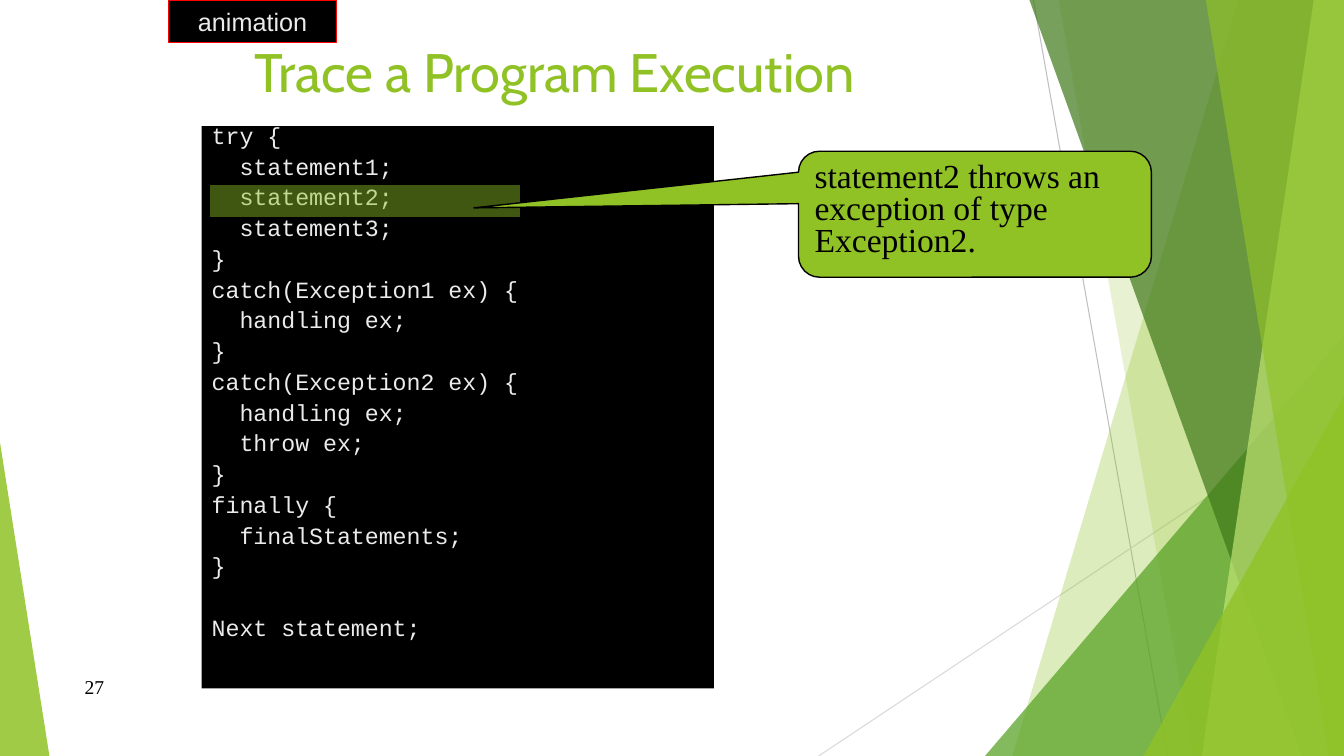
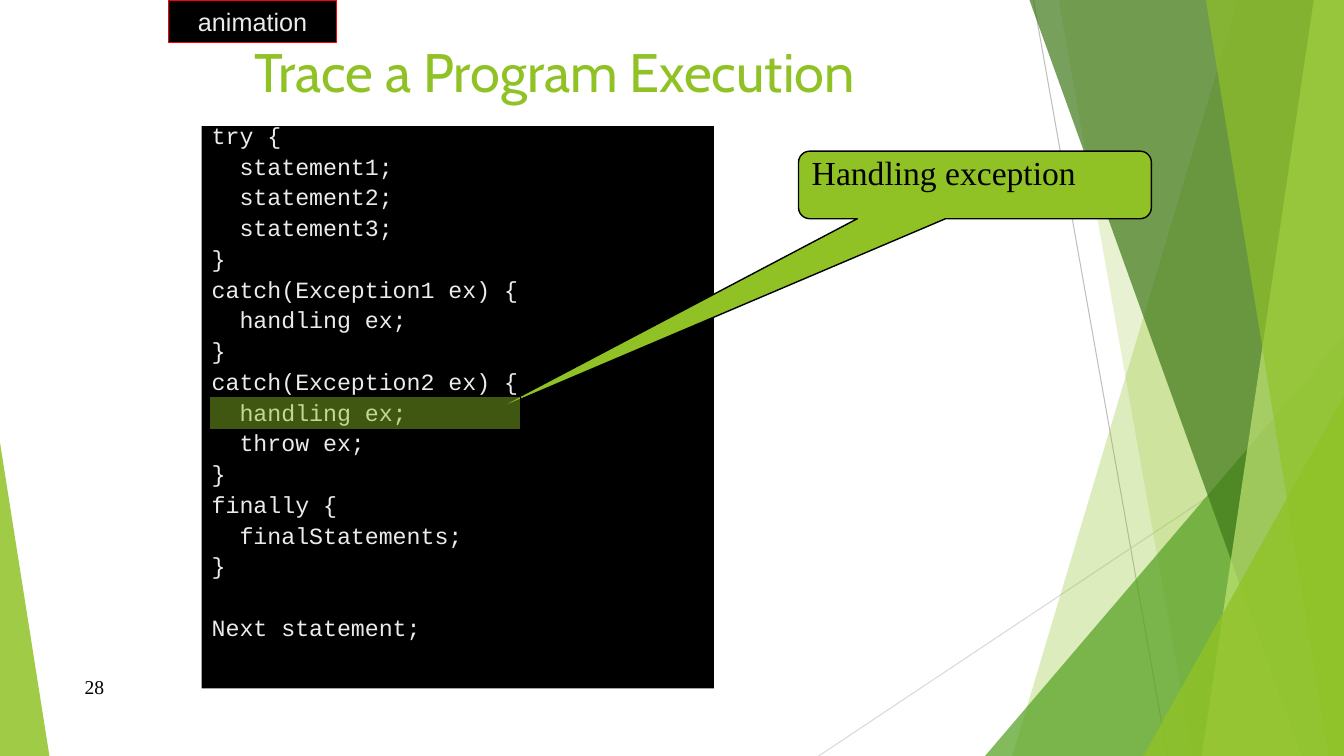
from lxml.etree import SubElement
from pptx import Presentation
from pptx.dml.color import RGBColor
from pptx.enum.shapes import MSO_CONNECTOR, MSO_SHAPE
from pptx.enum.text import MSO_ANCHOR, MSO_AUTO_SIZE, PP_ALIGN
from pptx.oxml.ns import qn
from pptx.util import Inches, Pt

WIDTH, HEIGHT = 13.33, 7.5
BLACK = RGBColor(0x00, 0x00, 0x00)
RED = RGBColor(0xFF, 0x00, 0x00)
PALE = RGBColor(0xEB, 0xEB, 0xEB)
GREEN = RGBColor(0x90, 0xC2, 0x26)
MID_GREEN = RGBColor(0x54, 0xA0, 0x21)
DARK_GREEN = RGBColor(0x3F, 0x78, 0x19)
LIGHT_GREEN = RGBColor(0xC0, 0xE4, 0x74)
GRAY = RGBColor(0xBF, 0xBF, 0xBF)
LIGHT_GRAY = RGBColor(0xD9, 0xD9, 0xD9)

TITLE = "Trace a Program Execution"
TAG = "animation"
CODE = """try {
  statement1;
  statement2;
  statement3;
}
catch(Exception1 ex) {
  handling ex;
}
catch(Exception2 ex) {
  handling ex;
  throw ex;
}
finally {
  finalStatements;
}

Next statement;""".split("\n")

# Callout pointers are offsets from its centre, as shares of its size.
STEPS = [
    {"number": "27", "row": 2, "text": "statement2 throws an exception of type Exception2.",
     "height": 1.25, "pointer": (-1.42, -0.05), "callout_in_front": True},
    {"number": "28", "row": 9, "text": "Handling exception",
     "height": 0.67, "pointer": (-1.38, 3.38), "callout_in_front": False},
]

# Lines: start, end, colour
BACKDROP_LINES = [
    ((10.25, 0), (11.58, HEIGHT), GRAY),
    ((WIDTH, 4.03), (8.12, HEIGHT), LIGHT_GRAY),
]
# Bands run to the right edge: ("band", top x, bottom x, colour, opacity)
# Triangles stand on the bottom edge: ("triangle", left, width, height, apex, colour, opacity)
BACKDROP_SHAPES = [
    ("band", 12.28, 10.04, GREEN, 30),
    ("band", 10.5, 11.83, GREEN, 20),
    ("triangle", 9.77, 3.56, 4.17, 1, MID_GREEN, 72),
    ("band", 10.21, 12.91, DARK_GREEN, 70),
    ("band", 13.03, 11.92, LIGHT_GREEN, 70),
    ("band", 11.96, 13.18, GREEN, 65),
    ("triangle", 11.34, 1.99, 3.57, 1, GREEN, 80),
    ("triangle", 0, 0.49, 3.11, 0, GREEN, 85),
]

TITLE_BOX = (2.42, 0.33, 8.5, 0.58)
TAG_BOX = (1.67, 0, 1.67, 0.42)
CODE_BOX = (2, 1.25, 5.08, 5.58)
NUMBER_BOX = (0.74, 6.61, 6.89, 0.4)
HIGHLIGHT_TOP, ROW_PITCH = 1.23, 0.3


def place(shape, box):
    shape.left, shape.top, shape.width, shape.height = map(Inches, box)


def paint(shape, fill, line=None, opacity=100):
    shape.shadow.inherit = False
    shape.fill.solid()
    shape.fill.fore_color.rgb = fill
    if opacity < 100:
        color = shape.element.spPr.find(qn("a:solidFill")).find(qn("a:srgbClr"))
        SubElement(color, qn("a:alpha")).set("val", str(opacity * 1000))
    if line is None:
        shape.line.fill.background()
    else:
        shape.line.color.rgb = line
        shape.line.width = Pt(1)


def write(shape, lines, *, font, size, color, align=PP_ALIGN.LEFT, anchor=MSO_ANCHOR.TOP,
          wrap=True, spacing=None, before=0, bullets=True):
    frame = shape.text_frame
    frame.auto_size = MSO_AUTO_SIZE.NONE
    frame.word_wrap = wrap
    frame.vertical_anchor = anchor
    for index, line in enumerate(lines):
        paragraph = frame.add_paragraph() if index else frame.paragraphs[0]
        paragraph.text = line
        paragraph.alignment = align
        paragraph.line_spacing = spacing
        paragraph.space_before = Pt(before if index else 0)
        if not bullets:
            properties = paragraph._p.get_or_add_pPr()
            properties.set("marL", "0")
            properties.set("indent", "0")
            SubElement(properties, qn("a:buNone"))
        paragraph.font.name = font
        paragraph.font.size = Pt(size)
        paragraph.font.color.rgb = color


def add_box(slide, box, fill, line=None, opacity=100, kind=MSO_SHAPE.RECTANGLE):
    shape = slide.shapes.add_shape(kind, *map(Inches, box))
    paint(shape, fill, line, opacity)
    return shape


def add_backdrop(slide):
    """Draw the facets and return their elements, back to front."""
    shapes = []
    for start, end, color in BACKDROP_LINES:
        line = slide.shapes.add_connector(MSO_CONNECTOR.STRAIGHT, *map(Inches, start + end))
        line.line.color.rgb = color
        line.line.width = Pt(0.75)
        SubElement(line.element.spPr, qn("a:effectLst"))
        shapes.append(line)
    for kind, *geometry, color, opacity in BACKDROP_SHAPES:
        if kind == "band":
            top_x, bottom_x = geometry
            builder = slide.shapes.build_freeform(Inches(top_x), 0)
            corners = [(WIDTH, 0), (WIDTH, HEIGHT), (bottom_x, HEIGHT)]
            builder.add_line_segments([(Inches(x), Inches(y)) for x, y in corners])
            shape = builder.convert_to_shape()
            paint(shape, color, opacity=opacity)
        else:
            left, width, height, apex = geometry
            shape = add_box(slide, (left, HEIGHT - height, width, height), color,
                            opacity=opacity, kind=MSO_SHAPE.ISOSCELES_TRIANGLE)
            shape.adjustments[0] = apex
        shapes.append(shape)
    return [shape.element for shape in shapes]


def move_to_layout(elements, layout):
    """Put shared artwork behind the layout's title and body."""
    for placeholder in list(layout.placeholders)[2:]:
        placeholder.element.getparent().remove(placeholder.element)
    tree = layout.placeholders[0].element.getparent()
    for position, element in enumerate(elements, start=2):
        tree.insert(position, element)


def add_highlight(slide, row):
    top = HIGHLIGHT_TOP + ROW_PITCH * row
    add_box(slide, (2.08, top, 3.08, 0.33), GREEN, BLACK, opacity=45)


def add_callout(slide, text, height, pointer):
    callout = add_box(slide, (7.92, 1.5, 3.5, height), GREEN, BLACK,
                      kind=MSO_SHAPE.ROUNDED_RECTANGULAR_CALLOUT)
    callout.adjustments[0], callout.adjustments[1] = pointer
    write(callout, [text], font="Times New Roman", size=24, color=BLACK, spacing=0.8)


def fill_slide(slide, step):
    number = slide.shapes.add_textbox(*map(Inches, NUMBER_BOX))
    write(number, [step["number"]], font="Times New Roman", size=14, color=BLACK,
          anchor=MSO_ANCHOR.MIDDLE)

    title, code = slide.placeholders
    place(title, TITLE_BOX)
    write(title, [TITLE], font="Cabin", size=38.7, color=GREEN)

    tag = add_box(slide, TAG_BOX, BLACK, RED)
    write(tag, [TAG], font="Arial", size=18, color=PALE, align=PP_ALIGN.CENTER,
          anchor=MSO_ANCHOR.MIDDLE, wrap=False)

    place(code, CODE_BOX)
    paint(code, BLACK)
    write(code, CODE, font="Courier New", size=16.6, color=PALE, spacing=0.6, before=10,
          bullets=False)

    if step["callout_in_front"]:
        add_highlight(slide, step["row"])
    add_callout(slide, step["text"], step["height"], step["pointer"])
    if not step["callout_in_front"]:
        add_highlight(slide, step["row"])


def main():
    presentation = Presentation()
    presentation.slide_width, presentation.slide_height = Inches(WIDTH), Inches(HEIGHT)
    layout = presentation.slide_layouts[1]
    slides = [presentation.slides.add_slide(layout) for _ in STEPS]
    move_to_layout(add_backdrop(slides[0]), layout)
    for slide, step in zip(slides, STEPS):
        fill_slide(slide, step)
    presentation.save("out.pptx")


if __name__ == "__main__":
    main()
